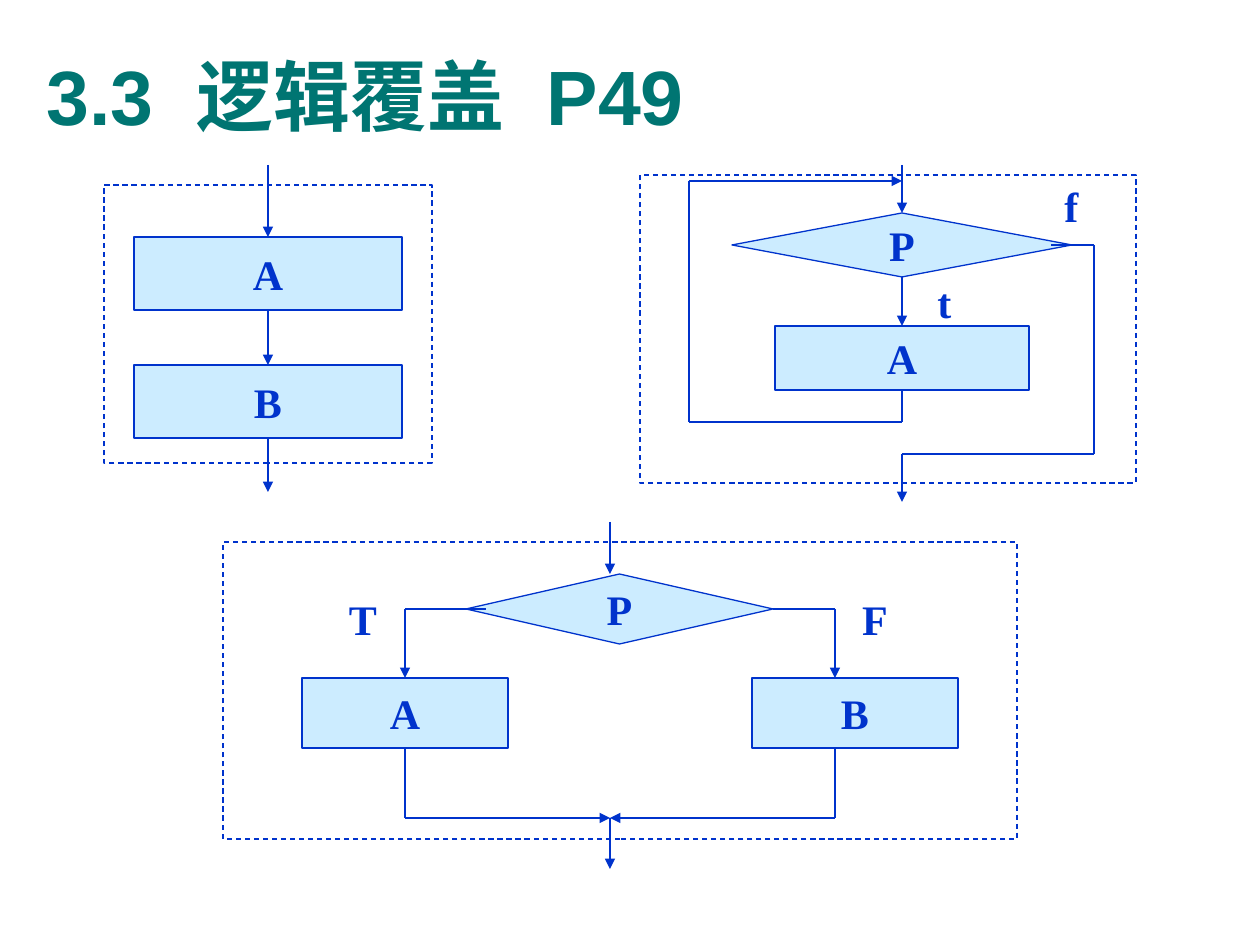
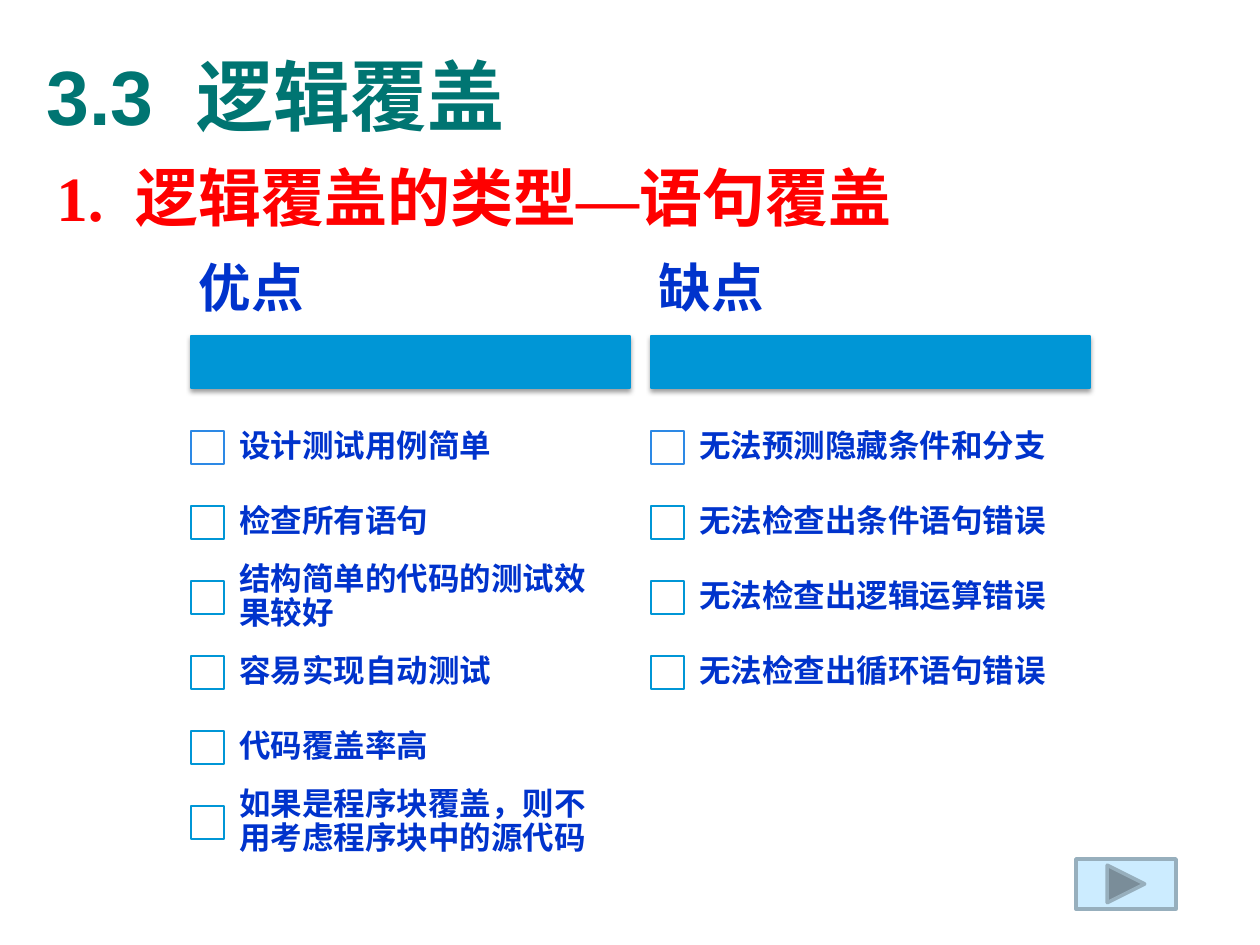
import itertools

import lxml.etree
import pptx
import pptx.dml.color
import pptx.enum.dml
import pptx.enum.shapes
import pptx.enum.text
import pptx.oxml.ns
import pptx.util

SHAPES = pptx.enum.shapes.MSO_SHAPE
ALIGN = pptx.enum.text.PP_ALIGN
TOP, LEFT, BOTTOM, RIGHT = range(4)


def px(length):
    return pptx.util.Emu(round(length * 914400 / 126))


def colour(code):
    return pptx.dml.color.RGBColor.from_string(code)


def add_element(parent, tag, **attributes):
    return lxml.etree.SubElement(parent, pptx.oxml.ns.qn(tag), attributes)


class Deck:
    ink = "0033CC"
    pale = "CCECFF"
    white = "FFFFFF"
    title_colour = "007572"
    accent = "0096D6"
    sans = "Arial"
    serif = "Times New Roman"

    def __init__(self):
        self.presentation = pptx.Presentation()
        self.presentation.slide_width = px(1260)
        self.presentation.slide_height = px(945)
        self.slide = None

    def format_run(self, run, size, font, code, tracking=0):
        run.font.size = pptx.util.Pt(size)
        run.font.name = font
        run.font.bold = True
        run.font.color.rgb = colour(code)
        properties = run.font._element
        add_element(properties, "a:ea", typeface=font)
        if tracking:
            properties.set("spc", str(tracking * 100))

    def add_run(self, paragraph, words, size, font, code, tracking=0):
        run = paragraph.add_run()
        run.text = words
        self.format_run(run, size, font, code, tracking)

    def start_slide(self, *title_parts):
        layout = self.presentation.slide_layouts[5]
        self.slide = self.presentation.slides.add_slide(layout)
        title = self.slide.shapes.title
        title.left, title.top, title.width, title.height = map(px, (34, 16, 1177, 158))
        frame = title.text_frame
        frame.auto_size = pptx.enum.text.MSO_AUTO_SIZE.NONE
        frame.vertical_anchor = pptx.enum.text.MSO_ANCHOR.MIDDLE
        paragraph = frame.paragraphs[0]
        paragraph.alignment = ALIGN.LEFT
        for index, part in enumerate(title_parts):
            if index:
                self.add_run(paragraph, " ", 44, self.sans, self.title_colour, 12)
            self.add_run(paragraph, part, 44, self.sans, self.title_colour)

    def box(self, area, fill, line, label="", preset=SHAPES.RECTANGLE, weight=0.75):
        shape = self.slide.shapes.add_shape(preset, *map(px, area))
        shape.shadow.inherit = False
        if fill:
            shape.fill.solid()
            shape.fill.fore_color.rgb = colour(fill)
        else:
            shape.fill.background()
        shape.line.color.rgb = colour(line)
        shape.line.width = pptx.util.Pt(weight)
        if label:
            frame = shape.text_frame
            frame.word_wrap = False
            frame.vertical_anchor = pptx.enum.text.MSO_ANCHOR.MIDDLE
            frame.text = label
            paragraph = frame.paragraphs[0]
            paragraph.alignment = ALIGN.CENTER
            self.format_run(paragraph.runs[0], 24, self.serif, self.ink)
        return shape

    def step(self, label, *area):
        return self.box(area, self.pale, self.ink, label)

    def decision(self, label, *area):
        return self.box(area, self.pale, self.ink, label, SHAPES.FLOWCHART_DECISION)

    def branch_label(self, label, *area):
        return self.box(area, self.white, self.white, label)

    def boundary(self, *area):
        frame = self.box(area, None, self.ink)
        frame.line.dash_style = pptx.enum.dml.MSO_LINE.DASH

    def flow(self, *points, start=None, end=None, arrow=True):
        segments = list(itertools.pairwise(points))
        for index, (origin, target) in enumerate(segments):
            last = index == len(segments) - 1
            link = self.slide.shapes.add_connector(
                pptx.enum.shapes.MSO_CONNECTOR.STRAIGHT, *map(px, origin + target))
            if start and index == 0:
                link.begin_connect(*start)
            if end and last:
                link.end_connect(*end)
            link.line.color.rgb = colour(self.ink)
            link.line.width = pptx.util.Pt(0.75)
            if arrow and last:
                add_element(link.line._get_or_add_ln(), "a:tailEnd", type="triangle")
            add_element(link._element.spPr, "a:effectLst")

    def text(self, area, words, size, insets):
        frame = self.slide.shapes.add_textbox(*map(px, area)).text_frame
        frame.word_wrap = True
        frame.vertical_anchor = pptx.enum.text.MSO_ANCHOR.MIDDLE
        frame.margin_left = frame.margin_right = px(insets[0])
        frame.margin_top = frame.margin_bottom = px(insets[1])
        frame.text = words
        paragraph = frame.paragraphs[0]
        paragraph.line_spacing = 0.9
        self.format_run(paragraph.runs[0], size, self.sans, self.ink)

    def subtitle(self, *parts):
        frame = self.slide.shapes.add_textbox(*map(px, (44, 145, 1160, 764))).text_frame
        frame.word_wrap = True
        paragraph = frame.paragraphs[0]
        paragraph.alignment = ALIGN.JUSTIFY
        paragraph.line_spacing = 1.1
        properties = paragraph._p.get_or_add_pPr()
        properties.set("marL", str(px(84)))
        properties.set("indent", str(px(-84)))
        for words, font, tracking in parts:
            self.add_run(paragraph, words, 36, font, "FF0000", tracking)

    def bar(self, *area):
        effects = self.box(area, self.accent, self.accent)._element.spPr.find(
            pptx.oxml.ns.qn("a:effectLst"))
        shadow = add_element(effects, "a:outerShdw", blurRad=str(pptx.util.Pt(3.1)),
                             dist=str(pptx.util.Pt(1.6)), dir="5400000", rotWithShape="0")
        tint = add_element(shadow, "a:srgbClr", val="000000")
        add_element(tint, "a:alpha", val="38000")

    def checklist(self, left, heading, items):
        self.bar(left, 336, 439, 52)
        self.text((left, 244, 439, 92), heading, 30, (8, 5))
        for index, item in enumerate(items):
            top = 410 + 75 * index
            self.box((left, top + 21, 33, 33), self.white,
                     self.accent if index else "2D89E5")
            self.text((left + 30, top, 407, 75), item, 18, (18, 18))


def draw_sequence(deck):
    second = deck.step("B", 134, 365, 268, 73)
    first = deck.step("A", 134, 237, 268, 73)
    deck.flow((268, 165), (268, 237), end=(first, TOP))
    deck.flow((268, 310), (268, 365), start=(first, BOTTOM), end=(second, TOP))
    deck.flow((268, 438), (268, 492), start=(second, BOTTOM))
    deck.boundary(104, 185, 328, 278)


def draw_selection(deck):
    deck.boundary(223, 542, 794, 297)
    deck.branch_label("F", 814, 575, 122, 87)
    deck.branch_label("T", 302, 575, 122, 87)
    condition = deck.decision("P", 466, 574, 307, 70)
    true_step = deck.step("A", 302, 678, 206, 70)
    deck.step("B", 752, 678, 206, 70)
    deck.flow((486, 609), (405, 609), (405, 678), end=(true_step, TOP))
    deck.flow((773, 609), (835, 609), (835, 678), start=(condition, RIGHT))
    deck.flow((405, 748), (405, 818), (610, 818), start=(true_step, BOTTOM))
    deck.flow((835, 748), (835, 818), (610, 818))
    deck.flow((610, 818), (610, 869))
    deck.flow((610, 522), (610, 574))


def draw_loop(deck):
    deck.branch_label("f", 1008, 165, 127, 81)
    deck.branch_label("t", 881, 261, 127, 81)
    condition = deck.decision("P", 732, 213, 340, 64)
    body = deck.step("A", 775, 326, 254, 64)
    deck.flow((902, 277), (902, 326), start=(condition, BOTTOM), end=(body, TOP))
    deck.flow((902, 165), (902, 213), end=(condition, TOP))
    deck.flow((902, 390), (902, 422), (689, 422), (689, 181), (902, 181),
              start=(body, BOTTOM))
    deck.flow((1051, 245), (1094, 245), (1094, 454), (902, 454), (902, 502))
    deck.boundary(640, 175, 496, 308)


def main():
    deck = Deck()

    deck.start_slide("3.3", "逻辑覆盖", "P49")
    draw_sequence(deck)
    draw_selection(deck)
    draw_loop(deck)

    deck.start_slide("3.3", "逻辑覆盖")
    deck.subtitle(("1.", deck.serif, 0), (" ", deck.serif, 9),
                  ("逻辑覆盖的类型", deck.sans, 0), ("—", deck.serif, 0),
                  ("语句覆盖", deck.sans, 0))
    deck.checklist(191, "优点", [
        "设计测试用例简单",
        "检查所有语句",
        "结构简单的代码的测试效果较好",
        "容易实现自动测试",
        "代码覆盖率高",
        "如果是程序块覆盖，则不用考虑程序块中的源代码",
    ])
    deck.checklist(651, "缺点", [
        "无法预测隐藏条件和分支",
        "无法检查出条件语句错误",
        "无法检查出逻辑运算错误",
        "无法检查出循环语句错误",
    ])
    deck.box((1076, 859, 100, 50), deck.pale, "97AFBD",
             preset=SHAPES.ACTION_BUTTON_FORWARD_OR_NEXT, weight=2)

    deck.presentation.save("out.pptx")


if __name__ == "__main__":
    main()
